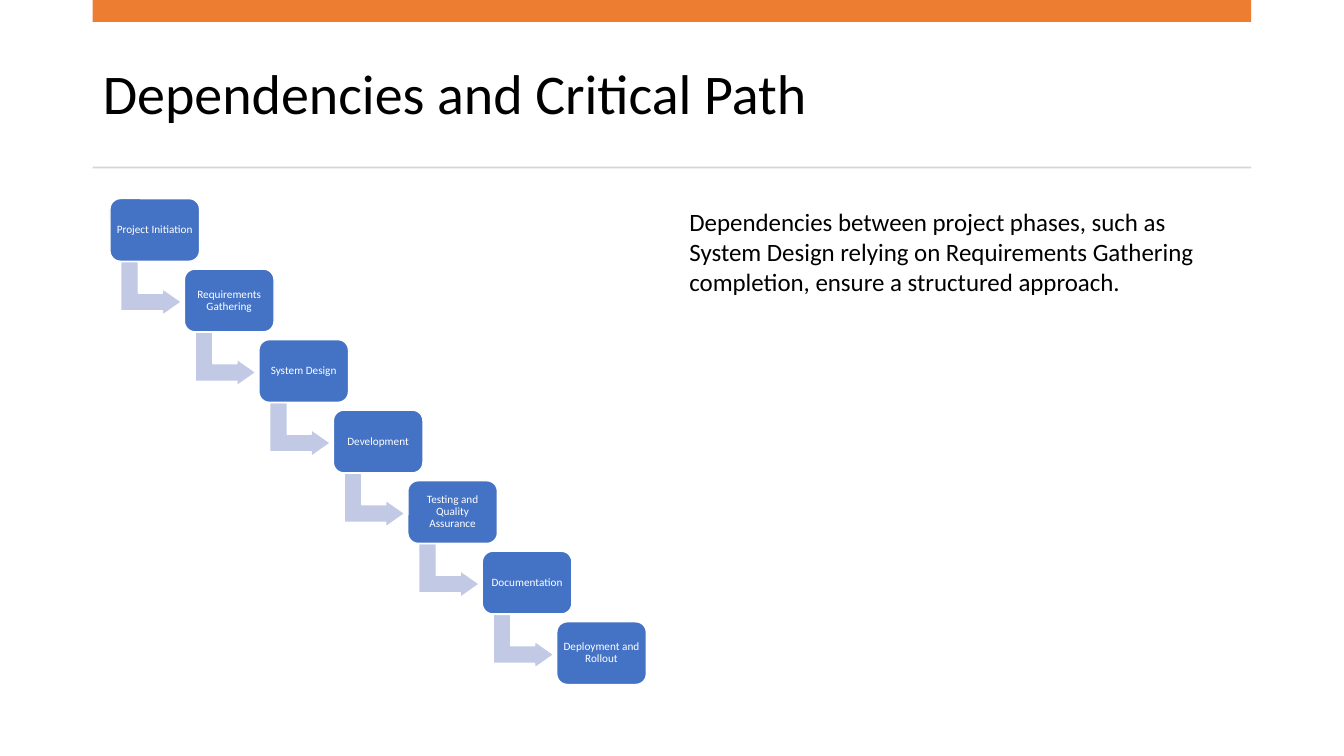
import collections

import pptx
import pptx.dml.color
import pptx.enum.shapes
import pptx.enum.text
import pptx.util

Box = collections.namedtuple("Box", "left top width height")

SLIDE_WIDTH = pptx.util.Inches(13.33)
SLIDE_HEIGHT = pptx.util.Inches(7.5)
COLUMN = SLIDE_WIDTH / 100
ROW = SLIDE_HEIGHT / 100

FONT = "Calibri"
BLACK = "000000"
WHITE = "FFFFFF"
ORANGE = "ED7D31"
GREY = "D5D5D5"
BLUE = "4472C4"
PALE_BLUE = "C1C9E4"

SHAPES = pptx.enum.shapes.MSO_SHAPE
ALIGN = pptx.enum.text.PP_ALIGN
ANCHOR = pptx.enum.text.MSO_ANCHOR

TITLE = "Dependencies and Critical Path"
SUMMARY = (
    "Dependencies between project phases, such as System Design relying on "
    "Requirements Gathering completion, ensure a structured approach."
)
PHASES = [
    "Project Initiation",
    "Requirements Gathering",
    "System Design",
    "Development",
    "Testing and Quality Assurance",
    "Documentation",
    "Deployment and Rollout",
]


def grid_box(column, row, columns, rows):
    return Box(
        round(column * COLUMN), round(row * ROW), round(columns * COLUMN), round(rows * ROW)
    )


def inner_box(box, left, top, width, height):
    return Box(
        round(box.left + left * box.width),
        round(box.top + top * box.height),
        round(width * box.width),
        round(height * box.height),
    )


def color(hex_string):
    return pptx.dml.color.RGBColor.from_string(hex_string)


def add_filled_shape(slide, kind, box, fill, outline=None):
    shape = slide.shapes.add_shape(kind, *box)
    shape.shadow.inherit = False
    shape.fill.solid()
    shape.fill.fore_color.rgb = color(fill)
    if outline:
        shape.line.color.rgb = color(outline)
        shape.line.width = pptx.util.Pt(1)
    else:
        shape.line.fill.background()
    return shape


def write_text(shape, text, size, font_color, align, anchor, line_spacing=1.0):
    frame = shape.text_frame
    frame.word_wrap = True
    frame.auto_size = pptx.enum.text.MSO_AUTO_SIZE.NONE
    frame.vertical_anchor = anchor
    paragraph = frame.paragraphs[0]
    paragraph.alignment = align
    paragraph.line_spacing = line_spacing
    run = paragraph.add_run()
    run.text = text
    run.font.name = FONT
    run.font.size = pptx.util.Pt(size)
    run.font.color.rgb = color(font_color)
    return frame


def add_header(slide, box):
    title = slide.shapes.title
    title.left, title.top, title.width, title.height = inner_box(box, 0, 0.22, 1, 0.71)
    write_text(title, TITLE, 40, BLACK, ALIGN.LEFT, ANCHOR.MIDDLE, 0.9)
    add_filled_shape(slide, SHAPES.RECTANGLE, inner_box(box, 0, 0, 1, 0.13), ORANGE)
    add_filled_shape(slide, SHAPES.RECTANGLE, inner_box(box, 0, 0.99, 1, 0.01), GREY)


def add_summary(slide, box):
    text_box = slide.shapes.add_textbox(*box)
    frame = write_text(text_box, SUMMARY, 17.8, BLACK, ALIGN.LEFT, ANCHOR.TOP)
    frame.paragraphs[0].space_after = pptx.util.Pt(6)


def add_phase(slide, box, name):
    phase = add_filled_shape(slide, SHAPES.ROUNDED_RECTANGLE, box, BLUE, WHITE)
    phase.adjustments[0] = 0.167
    frame = write_text(phase, name, 8, WHITE, ALIGN.CENTER, ANCHOR.MIDDLE, 0.9)
    frame.margin_left = frame.margin_right = pptx.util.Inches(0.03)
    frame.margin_top = frame.margin_bottom = pptx.util.Inches(0.03)


def add_step_arrow(slide, phase_box):
    arrow_box = inner_box(phase_box, 0.16, 0.95, 0.6, 0.97)
    arrow = add_filled_shape(slide, SHAPES.BENT_UP_ARROW, arrow_box, PALE_BLUE, WHITE)
    arrow.rotation = 90
    for index, value in enumerate((0.328, 0.25, 0.358)):
        arrow.adjustments[index] = value


def add_staircase(slide, box):
    width, height = 0.167, 0.129
    last = len(PHASES) - 1
    for index, name in enumerate(PHASES):
        progress = index / last
        phase_box = inner_box(
            box, progress * (1 - width), progress * (1 - height), width, height
        )
        if index < last:
            add_step_arrow(slide, phase_box)
        add_phase(slide, phase_box, name)


def main():
    presentation = pptx.Presentation()
    presentation.slide_width = SLIDE_WIDTH
    presentation.slide_height = SLIDE_HEIGHT
    slide = presentation.slides.add_slide(presentation.slide_layouts[5])
    add_header(slide, grid_box(6.9, 0, 86.2, 22.27))
    add_summary(slide, grid_box(50.56, 26.67, 42.46, 63.33))
    add_staircase(slide, grid_box(8.18, 26.27, 39.91, 64.27))
    presentation.save("out.pptx")


if __name__ == "__main__":
    main()
